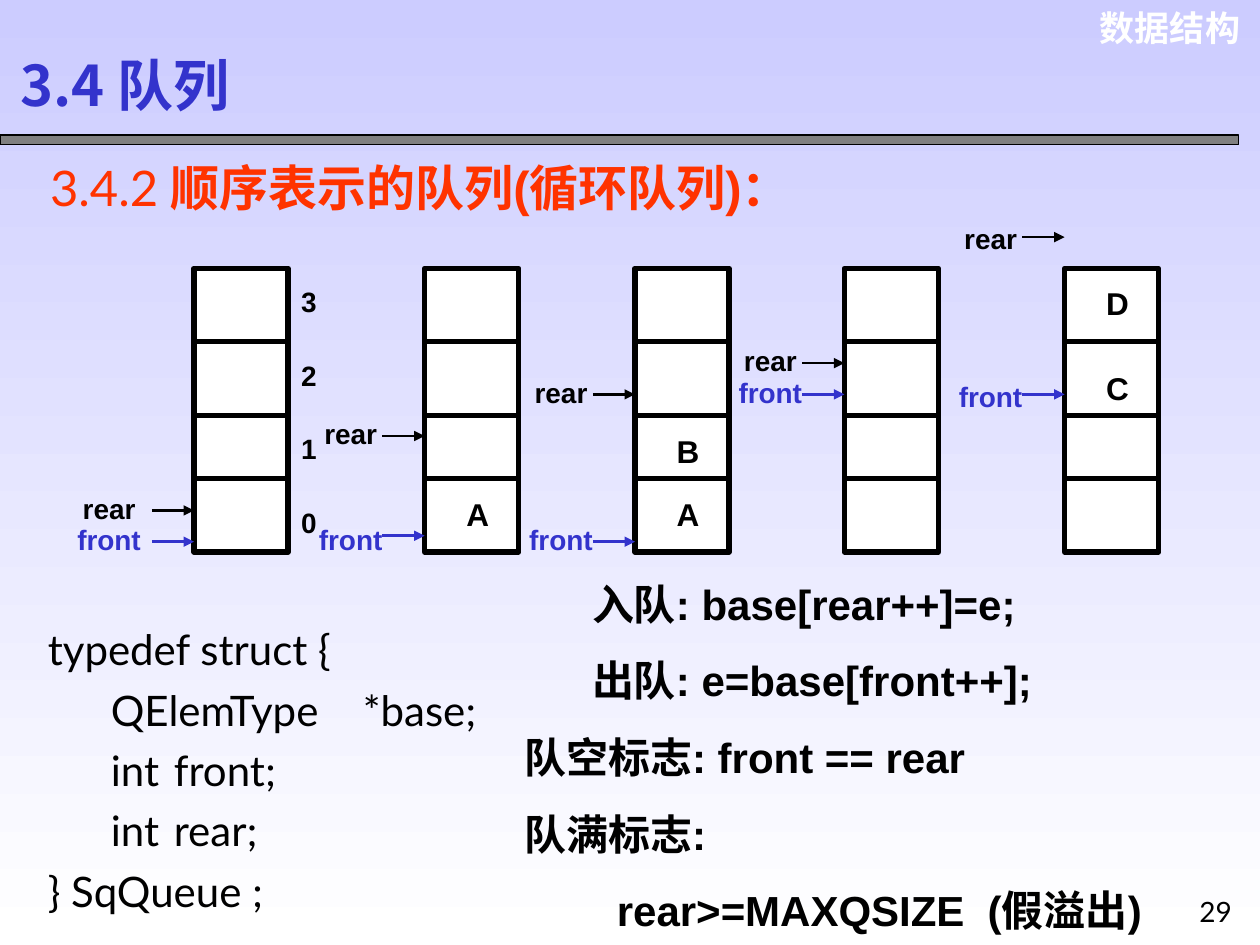
"""Build the slide on the sequential queue."""
from lxml import etree
from pptx import Presentation
from pptx.dml.color import RGBColor
from pptx.enum.shapes import MSO_CONNECTOR, MSO_SHAPE
from pptx.enum.text import MSO_ANCHOR, MSO_AUTO_SIZE, PP_ALIGN
from pptx.oxml.ns import qn
from pptx.util import Cm, Pt

LEFT, CENTER, RIGHT = PP_ALIGN.LEFT, PP_ALIGN.CENTER, PP_ALIGN.RIGHT
TOP, MIDDLE = MSO_ANCHOR.TOP, MSO_ANCHOR.MIDDLE
NO_AUTOFIT = MSO_AUTO_SIZE.NONE
RECTANGLE, STRAIGHT = MSO_SHAPE.RECTANGLE, MSO_CONNECTOR.STRAIGHT

BLACK, WHITE, BLUE, RED, GRAY = "000000", "FFFFFF", "3333CC", "FF3300", "808080"
CJK_FONT = "Noto Sans CJK SC"

STACK_TOP, STACK_WIDTH, STACK_HEIGHT = 5.41, 1.9, 5.72
DIVIDERS = (6.88, 8.38, 9.65)
ARROW_LENGTH = 0.85
LABEL_WIDTH = 3.38

# Each queue: left edge, label offset, (arrow, label) heights, stored letters.
QUEUES = (
    (3.91, 3.4, {"rear": (10.29, 9.78), "front": (10.92, 10.41)}, {}),
    (8.56, 3.18, {"rear": (8.79, 8.28), "front": (10.8, 10.41)}, {"A": 9.86}),
    (12.8, 3.18, {"rear": (7.95, 7.44), "front": (10.92, 10.41)},
     {"A": 9.86, "B": 8.59}),
    (17.02, 3.18, {"rear": (7.32, 6.81), "front": (7.95, 7.44)}, {}),
    (21.46, 3.18, {"rear": (4.78, 4.34), "front": (7.95, 7.52)},
     {"C": 7.32, "D": 5.61}),
)
POINTER_COLORS = {"rear": BLACK, "front": BLUE}

CODE = (
    ("typedef struct {", ()),
    ("\tQElemType\t*base;", (0.65, 5.49)),
    ("\tint\tfront;", (0.65, 5.3)),
    ("\tint\trear;", (0.65, 5.3)),
    ("} SqQueue ;", ()),
)
OPERATIONS = (
    ("入队: base[rear++]=e;", 1.37),
    ("出队: e=base[front++];", 1.37),
    ("队空标志: front == rear", 0),
    ("队满标志:", 0),
    ("rear>=MAXQSIZE  (假溢出)", 1.87),
)


def color(hex_code):
    """Return the colour for a hex string."""
    return RGBColor.from_string(hex_code)


def write(paragraph, text, size=16, font="Arial", ink=BLACK, bold=True,
          align=LEFT, before=0, spacing=1.0, indent=0, tabs=()):
    """Add a formatted run to a paragraph and set the paragraph's layout."""
    paragraph.alignment = align
    paragraph.space_before = Pt(before)
    paragraph.line_spacing = spacing
    layout = paragraph._p.get_or_add_pPr()
    layout.set("marL", str(Cm(indent)))
    layout.set("indent", "0")
    if layout.find(qn("a:buNone")) is None:
        etree.SubElement(layout, qn("a:buNone"))
    if tabs:
        stops = etree.SubElement(layout, qn("a:tabLst"))
        for stop in tabs:
            etree.SubElement(stops, qn("a:tab"), pos=str(Cm(stop)), algn="l")
    run = paragraph.add_run()
    run.text = text
    run.font.size = Pt(size)
    run.font.name = font
    run.font.bold = bold
    run.font.color.rgb = color(ink)
    etree.SubElement(run._r.get_or_add_rPr(), qn("a:ea"), typeface=CJK_FONT)


def add_label(slide, left, top, width, height, text, wrap=True, **style):
    """Add a one-line text box and return its paragraph."""
    frame = slide.shapes.add_textbox(
        Cm(left), Cm(top), Cm(width), Cm(height)).text_frame
    frame.word_wrap = wrap
    write(frame.paragraphs[0], text, **style)
    return frame.paragraphs[0]


def place(holder, left, top, width, height, anchor=TOP):
    """Move a placeholder and return its text frame."""
    holder.left, holder.top = Cm(left), Cm(top)
    holder.width, holder.height = Cm(width), Cm(height)
    frame = holder.text_frame
    frame.auto_size = NO_AUTOFIT
    frame.vertical_anchor = anchor
    return frame


def fill_list(frame, items, key, **style):
    """Write one paragraph per item, with its own value for one format key."""
    for number, (text, value) in enumerate(items):
        paragraph = frame.add_paragraph() if number else frame.paragraphs[0]
        write(paragraph, text, size=24, **{key: value}, **style)


def add_box(slide, left, top, width, height, fill, line_width):
    """Add a rectangle with a black outline."""
    box = slide.shapes.add_shape(
        RECTANGLE, Cm(left), Cm(top), Cm(width), Cm(height))
    box.shadow.inherit = False
    box.fill.solid()
    box.fill.fore_color.rgb = color(fill)
    box.line.color.rgb = color(BLACK)
    box.line.width = Pt(line_width)


def add_line(slide, left, right, height, ink=BLACK, width=3, arrow=False):
    """Add a horizontal line, with an arrowhead at its right end if asked."""
    line = slide.shapes.add_connector(
        STRAIGHT, Cm(left), Cm(height), Cm(right), Cm(height))
    line.line.color.rgb = color(ink)
    line.line.width = Pt(width)
    if arrow:
        etree.SubElement(line.line._get_or_add_ln(), qn("a:tailEnd"),
                         type="triangle")
    etree.SubElement(line._element.spPr, qn("a:effectLst"))


def add_queue(slide, left, label_offset, pointers, letters):
    """Draw one queue with its cells, letters and pointers."""
    add_box(slide, left, STACK_TOP, STACK_WIDTH, STACK_HEIGHT, WHITE, 3)
    for height in DIVIDERS:
        add_line(slide, left, left + STACK_WIDTH, height)
    for letter, top in letters.items():
        add_label(slide, left + 0.22, top, 1.7, 1.02, letter,
                  size=18, align=CENTER)
    for pointer, (arrow_height, label_top) in pointers.items():
        ink = POINTER_COLORS[pointer]
        add_line(slide, left - ARROW_LENGTH, left, arrow_height, ink, 1.5, True)
        add_label(slide, left - label_offset, label_top, LABEL_WIDTH, 0.94,
                  pointer, ink=ink, align=CENTER)


def paint_background(slide):
    """Fill the background with a gradient from top to bottom."""
    fill = slide.background.fill
    fill.gradient()
    fill.gradient_angle = 270
    for stop, hex_code in zip(fill.gradient_stops, ("CCCCFF", WHITE)):
        stop.color.rgb = color(hex_code)


def main():
    """Build and save the slide."""
    deck = Presentation()
    deck.slide_width, deck.slide_height = Cm(25.4), Cm(19.05)
    slide = deck.slides.add_slide(deck.slide_layouts[3])
    paint_background(slide)

    title, code, operations = slide.placeholders
    heading = place(title, 0.15, 0.76, 9.07, 1.88, MIDDLE)
    write(heading.paragraphs[0], "3.4 队列", size=32, font=CJK_FONT, ink=BLUE)
    fill_list(place(code, 0.71, 12.24, 9.55, 6.35), CODE, "tabs",
              font="Lato", bold=False, spacing=1.2)
    fill_list(place(operations, 10.31, 11.53, 14.81, 7.47), OPERATIONS,
              "indent", before=15)

    add_label(slide, 21.77, 0, 3.48, 1.12, "数据结构",
              size=20, ink=WHITE, align=RIGHT)
    add_box(slide, 0, 2.72, 24.97, 0.2, GRAY, 0.74)
    section = add_label(slide, 0.76, 3.05, 16.66, 1.45, "3.4.2 ", wrap=False,
                        size=28, font="Lato", ink=RED, bold=False)
    write(section, "顺序表示的队列(循环队列)：", size=28, ink=RED)

    for queue in QUEUES:
        add_queue(slide, *queue)
    for position in range(4):
        add_label(slide, 5.82, 10.06 - 1.483 * position, 0.84, 0.94,
                  str(position))
    add_label(slide, 23.93, 17.91, 1.27, 1.07, "29", font="Lato", bold=False)
    deck.save("out.pptx")


main()
